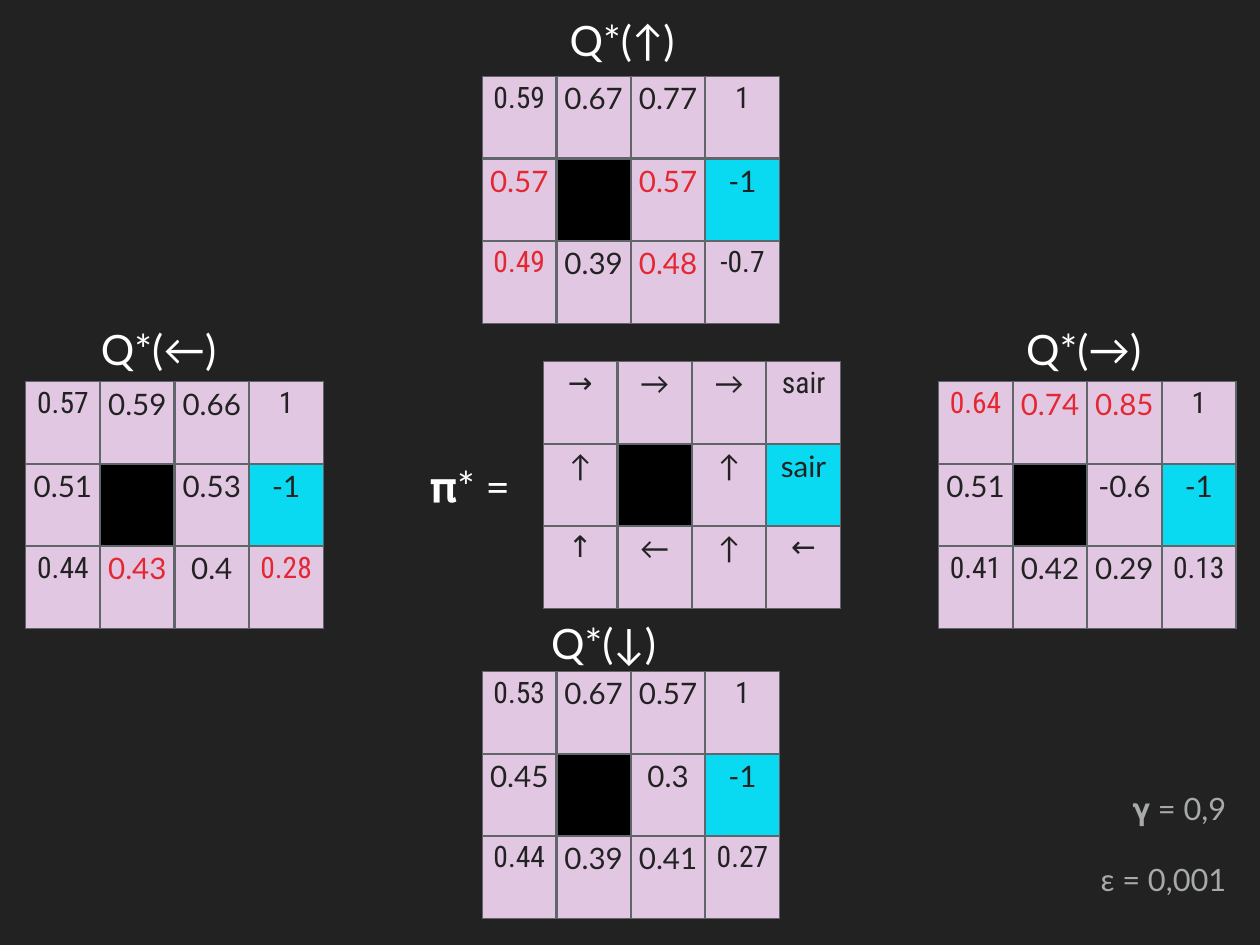
from lxml.etree import SubElement
from pptx import Presentation
from pptx.dml.color import RGBColor
from pptx.enum.text import MSO_ANCHOR, MSO_AUTO_SIZE, PP_ALIGN
from pptx.oxml.ns import qn
from pptx.util import Inches, Pt

COLORS = {
    "background": "222222",
    "ink": "222222",
    "best": "E42832",
    "cell": "E2C7E3",
    "wall": "000000",
    "trap": "09DAF2",
    "border": "5F6568",
    "label": "FFFFFF",
    "parameter": "A6AAA9",
}
ROWS, COLUMNS = 3, 4
CELL_WIDTH, CELL_HEIGHT = 0.84, 0.93
WALL, TRAP = (1, 1), (1, 3)

POLICY = [["→", "→", "→", "sair"], ["↑", "", "↑", "sair"], ["↑", "←", "↑", "←"]]
GRIDS = [
    ("→", 10.59, 4.31, [["0.64", "0.74", "0.85", "1"], ["0.51", "", "-0.6", "-1"], ["0.41", "0.42", "0.29", "0.13"]]),
    ("←", 0.29, 4.31, [["0.57", "0.59", "0.66", "1"], ["0.51", "", "0.53", "-1"], ["0.44", "0.43", "0.4", "0.28"]]),
    ("↑", 5.44, 0.86, [["0.59", "0.67", "0.77", "1"], ["0.57", "", "0.57", "-1"], ["0.49", "0.39", "0.48", "-0.7"]]),
    ("↓", 5.44, 7.58, [["0.53", "0.67", "0.57", "1"], ["0.45", "", "0.3", "-1"], ["0.44", "0.39", "0.41", "0.27"]]),
    ("", 6.13, 4.08, POLICY),
]
LABELS = [
    (["Q*(→)"], 11.52, 3.6, 1.48, 0.68, 34, "label", PP_ALIGN.LEFT),
    (["Q*(←)"], 1.08, 3.6, 1.48, 0.68, 34, "label", PP_ALIGN.LEFT),
    (["Q*(↑)"], 6.37, 0.11, 1.48, 0.68, 34, "label", PP_ALIGN.LEFT),
    (["Q*(↓)"], 6.16, 6.92, 1.48, 0.68, 34, "label", PP_ALIGN.LEFT),
    (["𝛑* ="], 4.79, 5.14, 1.18, 0.68, 34, "label", PP_ALIGN.LEFT),
    (["𝛄 = 0,9", "ε = 0,001"], 12.1, 8.86, 1.8, 1.33, 25, "parameter", PP_ALIGN.RIGHT),
]


def style_paragraph(paragraph, font_name, size, color, alignment):
    paragraph.alignment = alignment
    paragraph.font.name = font_name
    paragraph.font.size = Pt(size)
    paragraph.font.color.rgb = RGBColor.from_string(COLORS[color])


def add_border(cell, side, width):
    line = SubElement(cell._tc.get_or_add_tcPr(), qn(f"a:{side}"), w=str(Pt(width)))
    fill = SubElement(line, qn("a:solidFill"))
    SubElement(fill, qn("a:srgbClr"), val=COLORS["border"])


presentation = Presentation()
presentation.slide_width = Inches(14.22)
presentation.slide_height = Inches(10.67)
slide = presentation.slides.add_slide(presentation.slide_layouts[6])
slide.background.fill.solid()
slide.background.fill.fore_color.rgb = RGBColor.from_string(COLORS["background"])

for action, left, top, values in GRIDS:
    grid = slide.shapes.add_table(
        ROWS, COLUMNS, Inches(left), Inches(top),
        Inches(COLUMNS * CELL_WIDTH), Inches(ROWS * CELL_HEIGHT),
    ).table
    grid.first_row = False
    grid.horz_banding = False
    for row, row_values in enumerate(values):
        for column, value in enumerate(row_values):
            state = grid.cell(row, column)
            state.margin_left = state.margin_right = Inches(0.06)
            state.margin_top = state.margin_bottom = Inches(0.05)
            outer_sides = {
                "lnL": column == 0,
                "lnR": column == COLUMNS - 1,
                "lnT": row == 0,
                "lnB": row == ROWS - 1,
            }
            for side, is_outer in outer_sides.items():
                add_border(state, side, 0.96 if is_outer else 1.98)
            kind = {WALL: "wall", TRAP: "trap"}.get((row, column), "cell")
            state.fill.solid()
            state.fill.fore_color.rgb = RGBColor.from_string(COLORS[kind])
            if value:
                state.text = value
                is_corner = row in (0, ROWS - 1) and column in (0, COLUMNS - 1)
                style_paragraph(
                    state.text_frame.paragraphs[0],
                    "Roboto Condensed" if is_corner else "Lato",
                    24,
                    "best" if POLICY[row][column] == action else "ink",
                    PP_ALIGN.CENTER,
                )

for lines, left, top, width, height, size, color, alignment in LABELS:
    frame = slide.shapes.add_textbox(Inches(left), Inches(top), Inches(width), Inches(height)).text_frame
    frame.word_wrap = False
    frame.auto_size = MSO_AUTO_SIZE.SHAPE_TO_FIT_TEXT
    frame.vertical_anchor = MSO_ANCHOR.MIDDLE
    frame.margin_left = frame.margin_right = Inches(0.06)
    frame.margin_top = frame.margin_bottom = Inches(0.06)
    frame.text = "\n".join(lines)
    for index, paragraph in enumerate(frame.paragraphs):
        style_paragraph(paragraph, "Lato", size, color, alignment)
        paragraph.space_before = Pt(28 if index else 0)

presentation.save("out.pptx")
